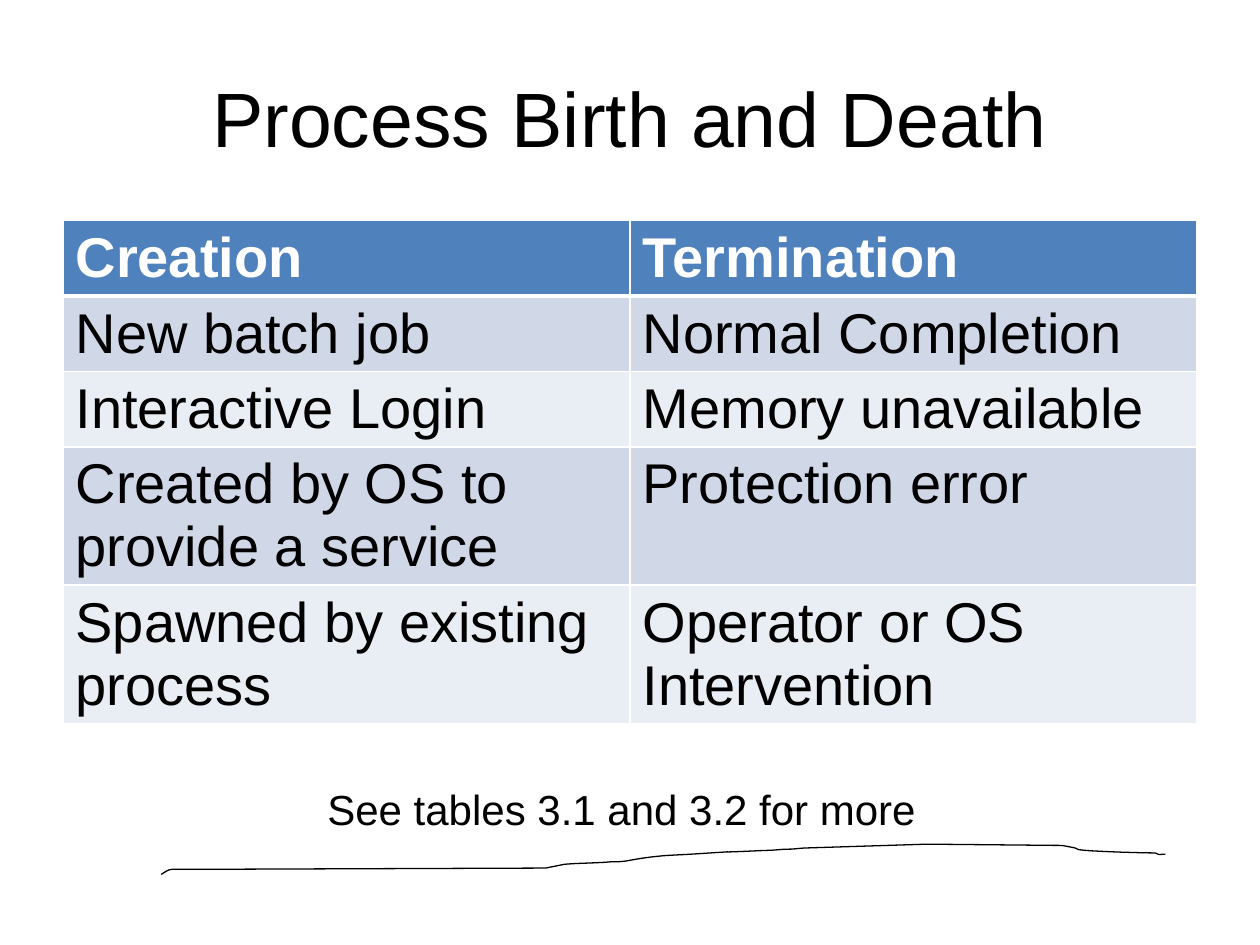
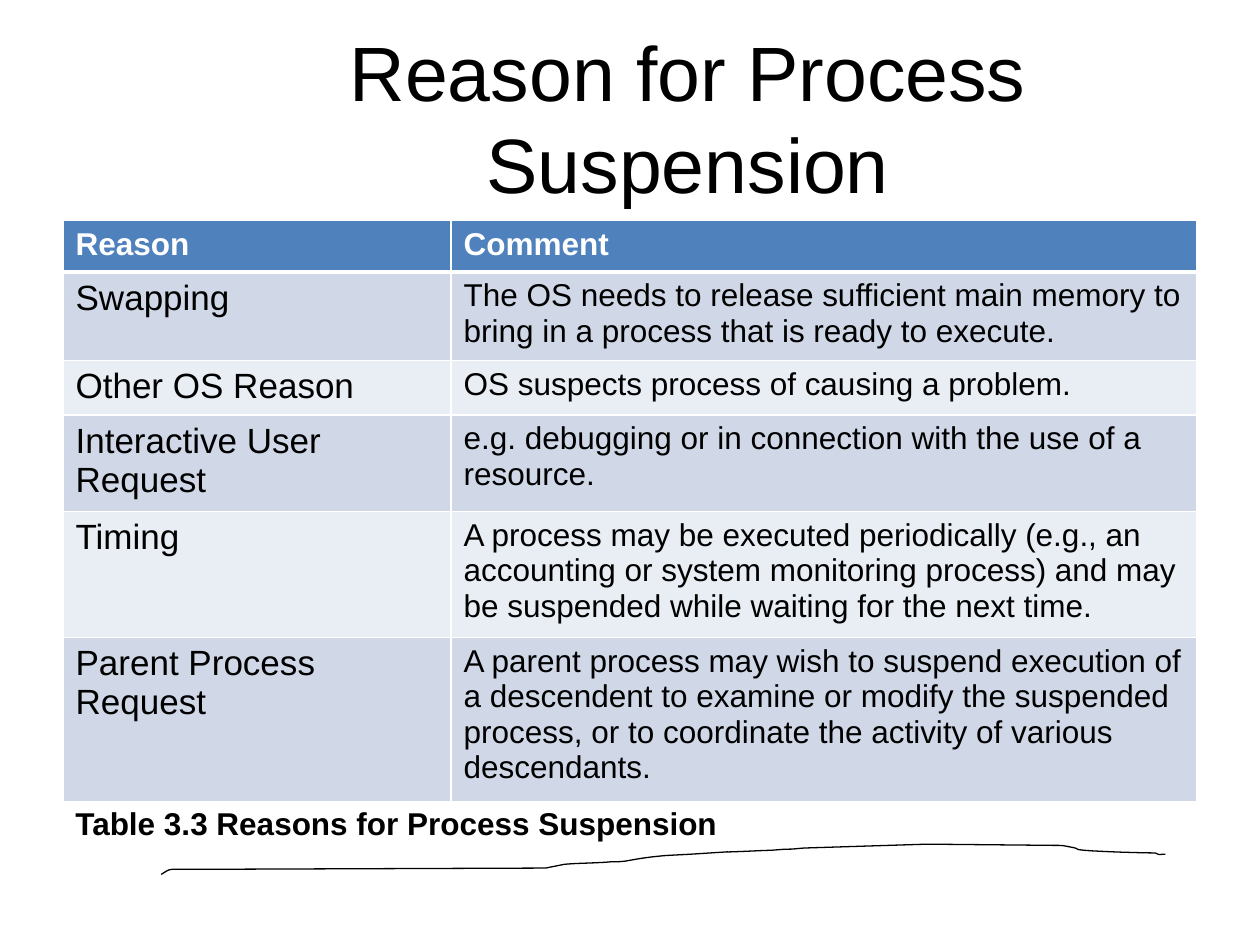
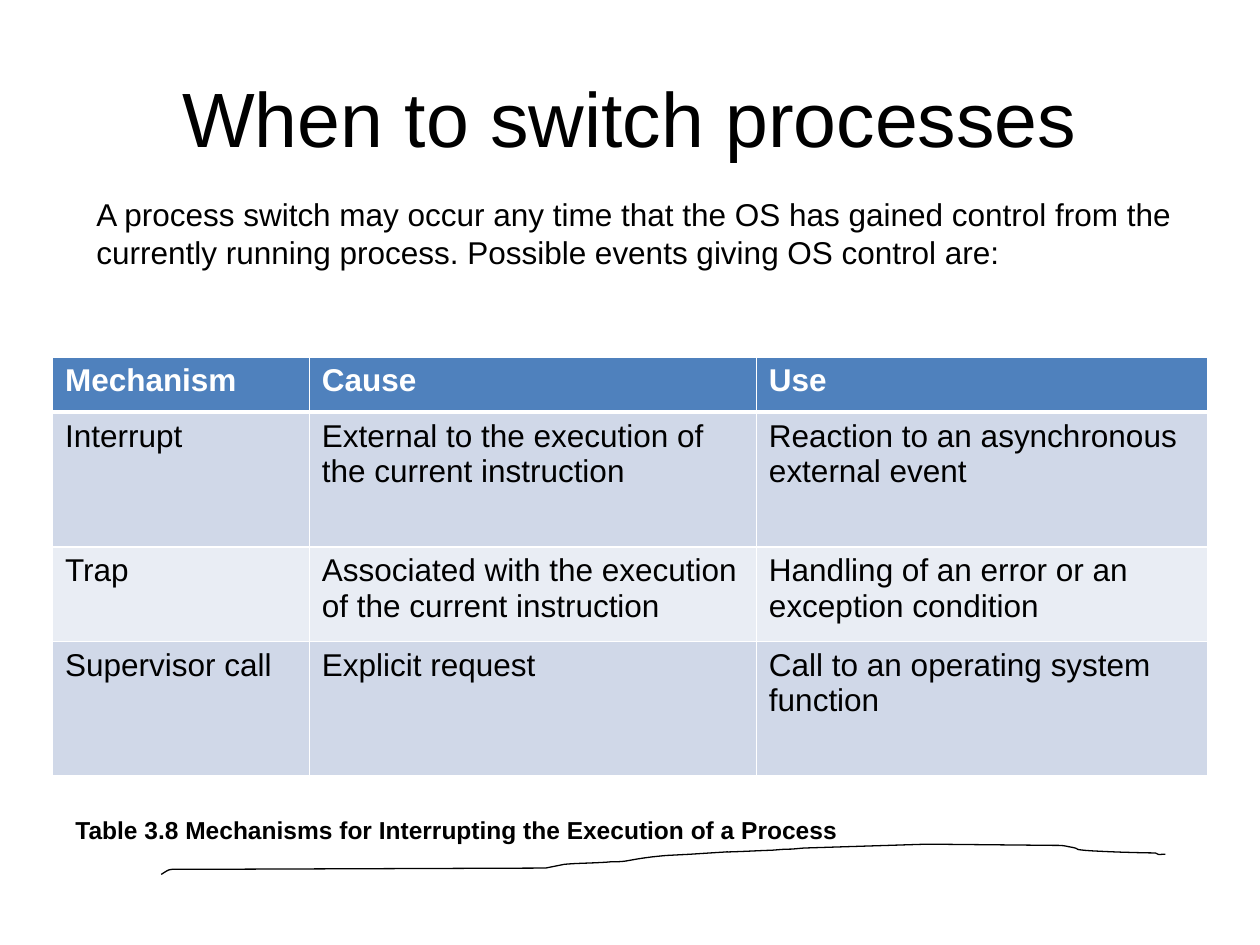
from dataclasses import dataclass

from lxml.etree import SubElement
from pptx import Presentation
from pptx.dml.color import RGBColor as RGB
from pptx.enum.text import MSO_ANCHOR as ANCHOR, MSO_AUTO_SIZE as AUTO, PP_ALIGN as ALIGN
from pptx.oxml import parse_xml
from pptx.oxml.ns import nsdecls, qn
from pptx.util import Pt


@dataclass(frozen=True)
class Theme:
    """Colours, font, type sizes and line widths of the deck."""
    font: str = "Arial"
    ink: str = "000000"
    white: str = "FFFFFF"
    header: str = "4F81BD"
    bands: tuple = ("D0D8E8", "E9EDF4")
    title: int = 44
    large: int = 32
    note: int = 24
    label: int = 20
    body: int = 18
    caption: int = 14
    stroke: float = 0.75
    rule: int = 1
    header_rule: int = 3


T = Theme()
SLIDE_SIZE = (720, 540)
TITLE_BOX = (36, 21.6, 648, 90)
MIN_ROW = 29.5

# Hand-drawn footer stroke: (x, y) is a straight step, six numbers a Bezier.
STROKE_START = (92.16, 499.68)
STROKE = [
    (97.92, 496.08, 95.76, 496.8, 107.28, 496.8),
    (311.76, 496.08),
    (315.36, 495.36, 318.96, 494.64, 322.56, 493.92),
    (329.76, 493.2, 342.72, 493.2, 349.2, 492.48),
    (352.8, 492.48, 355.68, 492.48, 359.28, 491.76),
    (367.2, 490.32, 372.24, 489.6, 380.88, 488.88),
    (394.56, 488.16),
    (440.64, 485.28, 390.24, 488.16, 437.04, 486),
    (442.08, 486, 446.4, 485.28, 450.72, 485.28),
    (454.32, 485.28, 457.92, 484.56, 461.52, 484.56),
    (529.92, 482.4),
    (603.36, 483.12),
    (605.52, 483.12, 607.68, 483.12, 610.56, 483.84),
    (619.2, 485.28, 612, 485.28, 620.64, 486),
    (629.28, 486.72, 653.76, 487.44, 660.24, 487.44),
    (663.12, 488.88, 661.68, 488.16, 666, 488.16),
]

# A cell is a string, or a tuple of paragraphs. "sizes" are the body sizes by column.
SLIDES = [
    {
        "title": "Process Birth and Death",
        "table": {
            "box": (36, 126, 648, 304.5),
            "cols": (324, 324),
            "heights": (MIN_ROW,) * 5,
            "header_size": T.large,
            "sizes": (T.large, T.large),
            "rows": [
                ("Creation", "Termination"),
                ("New batch job", "Normal Completion"),
                ("Interactive Login", "Memory unavailable"),
                ("Created by OS to provide a service", "Protection error"),
                ("Spawned by existing process", "Operator or OS Intervention"),
            ],
        },
        "texts": [
            ("See tables 3.1 and 3.2 for more", (180, 444.25, 359.3, 36), T.note, False),
        ],
    },
    {
        "title": "Reason for Process Suspension",
        "title_box": (102.25, 21.6, 581.75, 90),
        "table": {
            "box": (36, 126, 648, 332),
            "cols": (221.75, 426.25),
            "heights": (MIN_ROW,) * 6,
            "header_size": T.body,
            "sizes": (T.label, T.body),
            "rows": [
                ("Reason", "Comment"),
                ("Swapping", "The OS needs to release sufficient main memory to bring "
                             "in a process that is ready to execute."),
                ("Other OS Reason", "OS suspects process of causing a problem."),
                ("Interactive User Request", "e.g. debugging or in connection with the "
                                             "use of a resource."),
                ("Timing", "A process may be executed periodically (e.g., an accounting "
                           "or system monitoring process) and may be suspended while "
                           "waiting for the next time."),
                ("Parent Process Request", "A parent process may wish to suspend "
                                           "execution of a descendent to examine or "
                                           "modify the suspended process, or to "
                                           "coordinate the activity of various "
                                           "descendants."),
            ],
        },
        "texts": [
            ("Table 3.3 Reasons for Process Suspension", (36, 456, 630, 30), T.body, True),
        ],
    },
    {
        "title": "When to switch processes",
        "table": {
            "box": (30, 204, 660, 239.5),
            "cols": (146.75, 255.5, 257.75),
            "heights": (31.5, 77, 54, 77),
            "header_size": T.body,
            "sizes": (T.body,) * 3,
            "rows": [
                ("Mechanism", "Cause", "Use"),
                ("Interrupt", "External to the execution of the current instruction",
                 ("Reaction to an asynchronous", "external event")),
                ("Trap", "Associated with the execution of the current instruction",
                 ("Handling of an error or an", "exception condition")),
                ("Supervisor call", "Explicit request",
                 ("Call to an operating system", "function")),
            ],
        },
        "texts": [
            ("Table 3.8 Mechanisms for Interrupting the Execution of a Process",
             (36, 462, 612, 24.5), T.caption, True),
            ("A process switch may occur any time that the OS has gained control from "
             "the currently running process. Possible events giving OS control are:",
             (48, 108, 636, 51), T.body, False),
        ],
    },
]


def write(tf, paragraphs, size, color=T.ink, bold=False, align=ALIGN.LEFT):
    """Fill a text frame with one run per paragraph."""
    for i, text in enumerate(paragraphs):
        p = tf.paragraphs[0] if i == 0 else tf.add_paragraph()
        p.alignment = align
        r = p.add_run()
        r.text = text
        r.font.name, r.font.size, r.font.bold = T.font, Pt(size), bold
        r.font.color.rgb = RGB.from_string(color)


def add_text(s, text, box, size, bold=False, align=ALIGN.LEFT):
    """Add a wrapped text box and return its frame."""
    tf = s.shapes.add_textbox(*map(Pt, box)).text_frame
    tf.word_wrap = True
    tf.auto_size = AUTO.SHAPE_TO_FIT_TEXT
    write(tf, [text], size, bold=bold, align=align)
    return tf


def add_title(s, text, box):
    """Add the centred slide title."""
    tf = add_text(s, text, box, T.title, align=ALIGN.CENTER)
    tf.auto_size = AUTO.NONE
    tf.vertical_anchor = ANCHOR.MIDDLE


def bezier(start, curve, steps=8):
    """Return points along a cubic Bezier, without its start."""
    x1, y1, x2, y2, x3, y3 = curve
    points = []
    for t in (i / steps for i in range(1, steps + 1)):
        u = 1 - t
        weights = (u ** 3, 3 * u * u * t, 3 * u * t * t, t ** 3)
        points.append(tuple(sum(w * v for w, v in zip(weights, axis))
                            for axis in ((start[0], x1, x2, x3), (start[1], y1, y2, y3))))
    return points


def add_stroke(s):
    """Draw the hand-drawn footer stroke."""
    points = [STROKE_START]
    for step in STROKE:
        points += [step] if len(step) == 2 else bezier(points[-1], step)
    start, *rest = [(Pt(x), Pt(y)) for x, y in points]
    builder = s.shapes.build_freeform(*start)
    builder.add_line_segments(rest, close=False)
    sp = builder.convert_to_shape()
    sp.shadow.inherit = False
    sp.fill.background()
    sp.line.color.rgb = RGB.from_string(T.ink)
    sp.line.width = Pt(T.stroke)


def set_borders(cell, top, bottom):
    """Give a cell white borders, with their own top and bottom widths."""
    tc_pr = cell._tc.get_or_add_tcPr()
    widths = {"L": T.rule, "R": T.rule, "T": top, "B": bottom}
    for i, (side, width) in enumerate(widths.items()):
        ln = parse_xml(f'<a:ln{side} {nsdecls("a")} w="{Pt(width)}"/>')
        fill = SubElement(ln, qn("a:solidFill"))
        SubElement(fill, qn("a:srgbClr")).set("val", T.white)
        tc_pr.insert(i, ln)


def add_grid(s, box, cols, heights, header_size, sizes, rows):
    """Add a banded table; rows grow to fit their text."""
    frame = s.shapes.add_table(len(rows), len(cols), *map(Pt, box))
    table = frame.table
    table.first_row = table.horz_banding = False
    for column, width in zip(table.columns, cols):
        column.width = Pt(width)
    for row, height in zip(table.rows, heights):
        row.height = Pt(height)
    frame.height = Pt(box[3])
    for i, row in enumerate(rows):
        head = i == 0
        for j, content in enumerate(row):
            cell = table.cell(i, j)
            cell.fill.solid()
            cell.fill.fore_color.rgb = RGB.from_string(
                T.header if head else T.bands[(i - 1) % 2])
            set_borders(cell, T.header_rule if i == 1 else T.rule,
                        T.header_rule if head else T.rule)
            write(cell.text_frame, [content] if isinstance(content, str) else content,
                  header_size if head else sizes[j], T.white if head else T.ink, head)


def main():
    """Build the deck."""
    prs = Presentation()
    prs.slide_width, prs.slide_height = map(Pt, SLIDE_SIZE)
    for content in SLIDES:
        s = prs.slides.add_slide(prs.slide_layouts[6])
        add_stroke(s)
        add_title(s, content["title"], content.get("title_box", TITLE_BOX))
        add_grid(s, **content["table"])
        for text in content["texts"]:
            add_text(s, *text)
    prs.save("out.pptx")


main()
